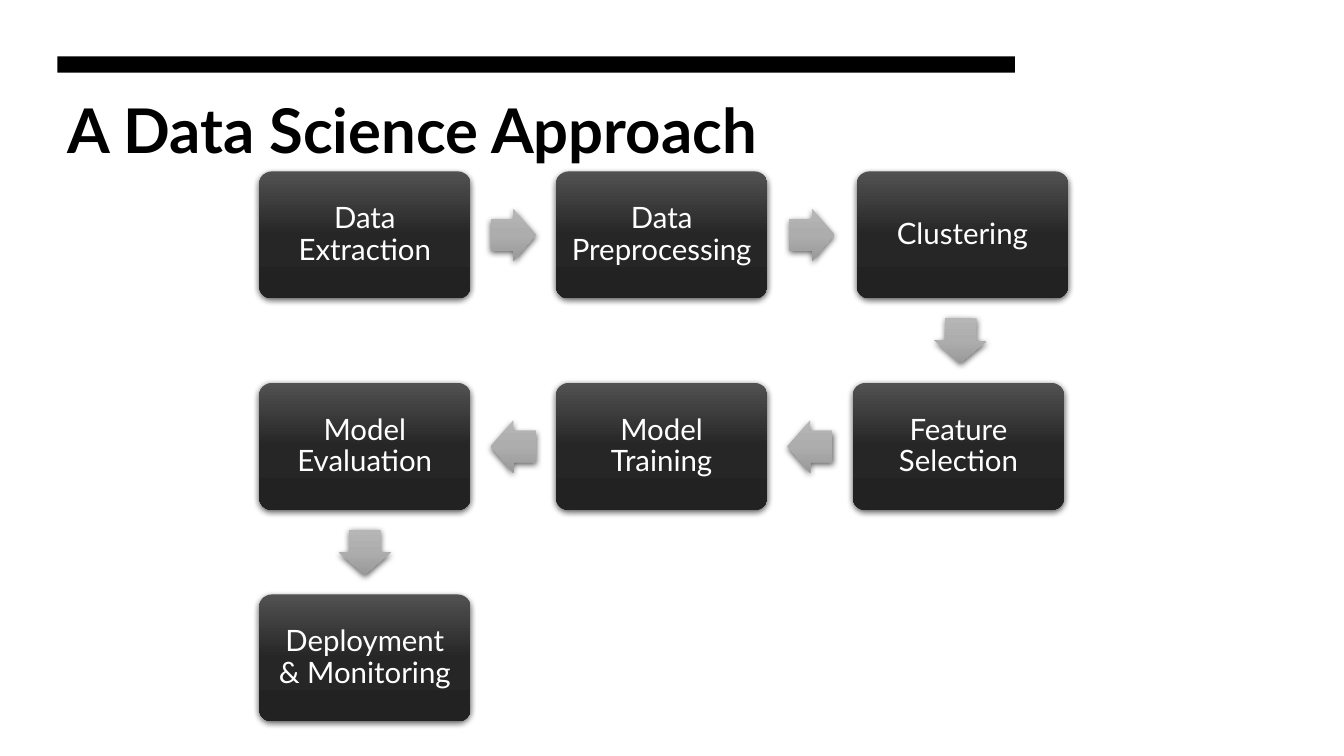
from itertools import pairwise
from math import atan2, degrees

from pptx import Presentation
from pptx.dml.color import RGBColor
from pptx.enum.shapes import MSO_SHAPE
from pptx.enum.text import MSO_ANCHOR, MSO_AUTO_SIZE, PP_ALIGN
from pptx.oxml import parse_xml
from pptx.oxml.ns import nsdecls, qn
from pptx.util import Cm, Pt

BLACK = RGBColor(0x00, 0x00, 0x00)
WHITE = RGBColor(0xFF, 0xFF, 0xFF)
BOX_STOPS = (RGBColor(0x51, 0x51, 0x51), RGBColor(0x26, 0x26, 0x26), RGBColor(0x22, 0x22, 0x22))
ARROW_STOPS = (RGBColor(0xB6, 0xB6, 0xB6), RGBColor(0xAD, 0xAD, 0xAD), RGBColor(0x99, 0x99, 0x99))

# Lengths in centimetres
MARGIN = 1.45
BAR_W = 24.13
BOX_W, BOX_H = 5.33, 3.2
ARROW_W, ARROW_H = 1.14, 1.32
GRID_LEFT, GRID_TOP = 6.53, 4.32
COL_STEP, ROW_STEP = 7.48, 5.33

# Label, column, row, sideways offset
STEPS = [
    ("Data Extraction", 0, 0, 0),
    ("Data Preprocessing", 1, 0, 0),
    ("Clustering", 2, 0, 0.1),
    ("Feature Selection", 2, 1, 0),
    ("Model Training", 1, 1, 0),
    ("Model Evaluation", 0, 1, 0),
    ("Deployment & Monitoring", 0, 2, 0),
]


class FlowSlide:
    font = "Lato"

    def __init__(self, prs):
        self.s = prs.slides.add_slide(prs.slide_layouts[5])
        fill = self.s.background.fill
        fill.solid()
        fill.fore_color.rgb = WHITE

    def style_text(self, tf, size, color, align, bold=False):
        tf.word_wrap = True
        tf.auto_size = MSO_AUTO_SIZE.NONE
        tf.vertical_anchor = MSO_ANCHOR.MIDDLE
        for p in tf.paragraphs:
            p.alignment = align
            for r in p.runs:
                r.font.name = self.font
                r.font.size = Pt(size)
                r.font.bold = bold
                r.font.color.rgb = color

    def title(self, text):
        sp = self.s.shapes.title
        sp.left, sp.top, sp.width, sp.height = Cm(MARGIN), Cm(2.11), Cm(BAR_W), Cm(2.26)
        sp.text_frame.text = text
        self.style_text(sp.text_frame, 44, BLACK, PP_ALIGN.LEFT, bold=True)

    def shape(self, kind, x, y, w, h):
        sp = self.s.shapes.add_shape(kind, Cm(x), Cm(y), Cm(w), Cm(h))
        sp.shadow.inherit = False
        sp.line.fill.background()
        return sp

    def bar(self):
        sp = self.shape(MSO_SHAPE.RECTANGLE, MARGIN, 1.42, BAR_W, 0.41)
        sp.fill.solid()
        sp.fill.fore_color.rgb = BLACK

    def shade(self, sp, colors):
        """Give a shape a vertical three-stop gradient and a soft shadow below."""
        stops = "".join(
            f'<a:gs pos="{i * 50000}"><a:srgbClr val="{c}"/></a:gs>' for i, c in enumerate(colors)
        )
        sp_pr = sp._element.spPr
        sp_pr.find(qn("a:ln")).addprevious(parse_xml(
            f'<a:gradFill {nsdecls("a")} rotWithShape="0"><a:gsLst>{stops}</a:gsLst>'
            '<a:lin ang="5400000" scaled="0"/></a:gradFill>'
        ))
        sp_pr.find(qn("a:effectLst")).append(parse_xml(
            f'<a:outerShdw {nsdecls("a")} blurRad="{Pt(4.5)}" dist="{Pt(1.5)}" dir="5400000"'
            ' rotWithShape="0"><a:srgbClr val="000000"><a:alpha val="63000"/></a:srgbClr>'
            '</a:outerShdw>'
        ))

    def box(self, text, cx, cy):
        sp = self.shape(MSO_SHAPE.ROUNDED_RECTANGLE, cx - BOX_W / 2, cy - BOX_H / 2, BOX_W, BOX_H)
        sp.adjustments[0] = 0.1
        self.shade(sp, BOX_STOPS)
        tf = sp.text_frame
        tf.text = text
        tf.margin_left = tf.margin_right = tf.margin_top = tf.margin_bottom = Cm(0.3)
        tf.paragraphs[0].line_spacing = 0.9
        self.style_text(tf, 21, WHITE, PP_ALIGN.CENTER)

    def arrow(self, start, end):
        """Put a block arrow halfway between two box centres."""
        (x1, y1), (x2, y2) = start, end
        sp = self.shape(MSO_SHAPE.RIGHT_ARROW, (x1 + x2 - ARROW_W) / 2, (y1 + y2 - ARROW_H) / 2,
                        ARROW_W, ARROW_H)
        sp.adjustments[0], sp.adjustments[1] = 0.6, 0.5
        sp.rotation = degrees(atan2(y2 - y1, x2 - x1))
        self.shade(sp, ARROW_STOPS)


def main():
    prs = Presentation()
    prs.slide_width, prs.slide_height = Cm(33.87), Cm(19.05)
    slide = FlowSlide(prs)
    slide.title("A Data Science Approach")
    centres = [
        (GRID_LEFT + col * COL_STEP + shift + BOX_W / 2, GRID_TOP + row * ROW_STEP + BOX_H / 2)
        for _, col, row, shift in STEPS
    ]
    for (label, *_), (cx, cy) in zip(STEPS, centres):
        slide.box(label, cx, cy)
    for start, end in pairwise(centres):
        slide.arrow(start, end)
    slide.bar()
    prs.save("out.pptx")


if __name__ == "__main__":
    main()
